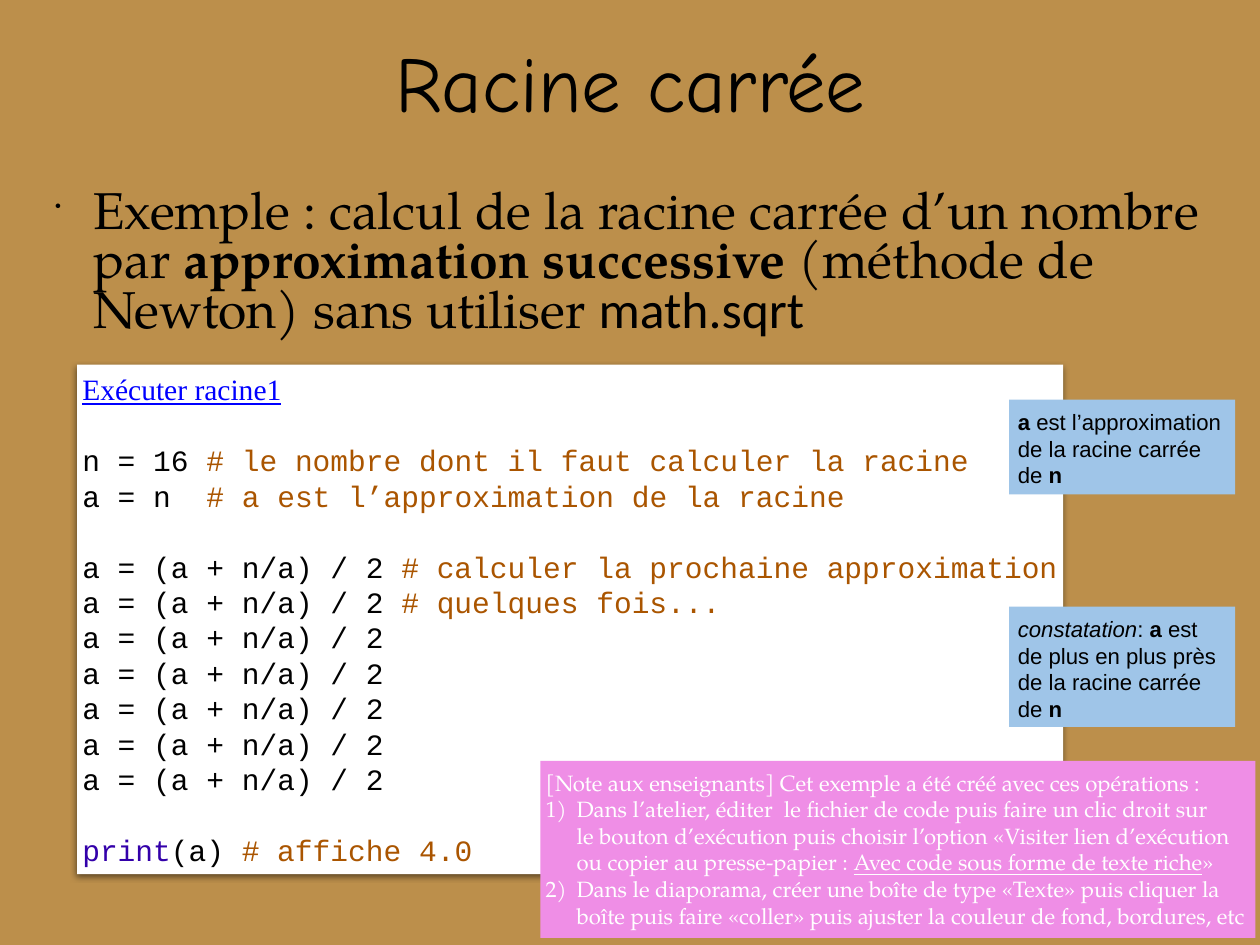
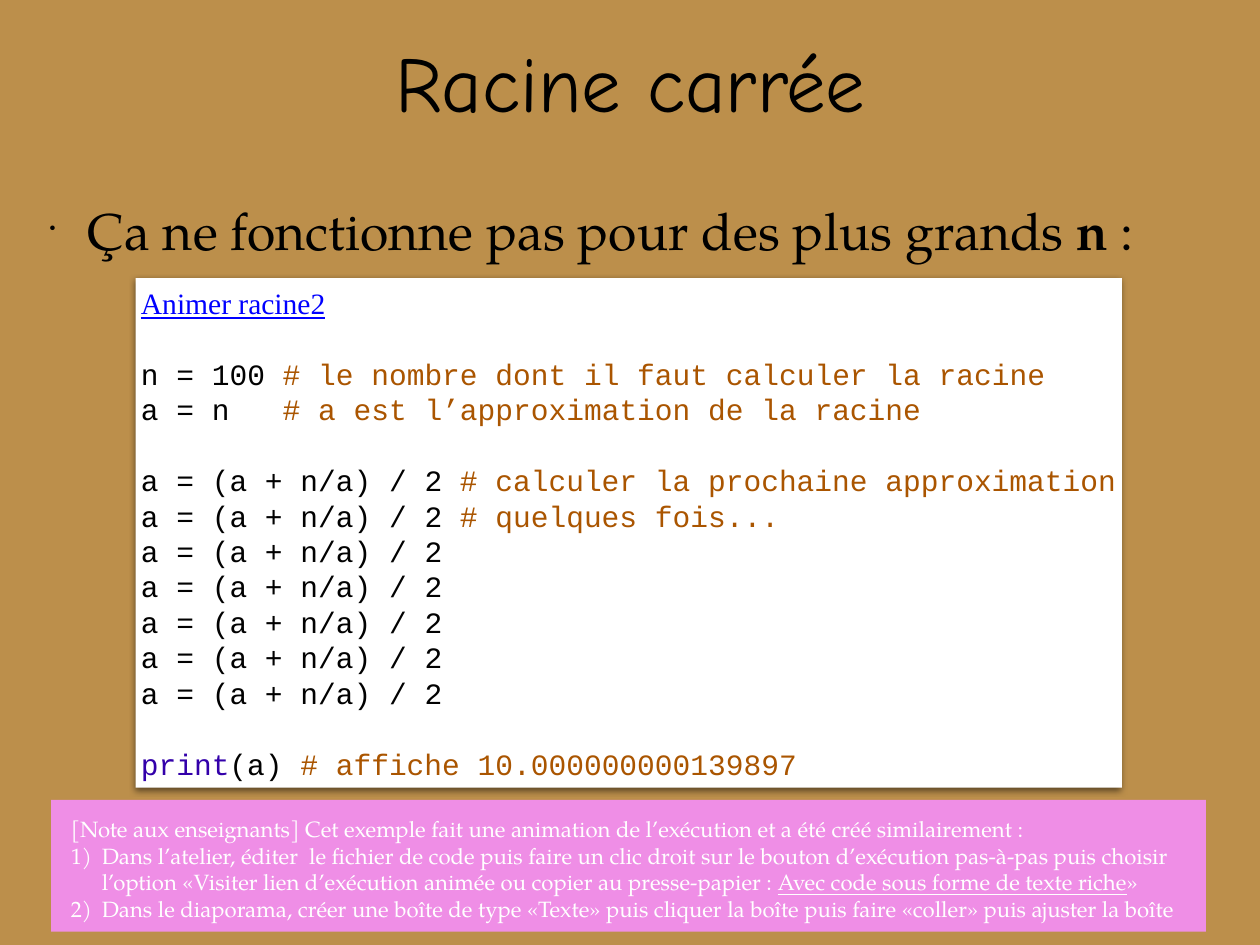
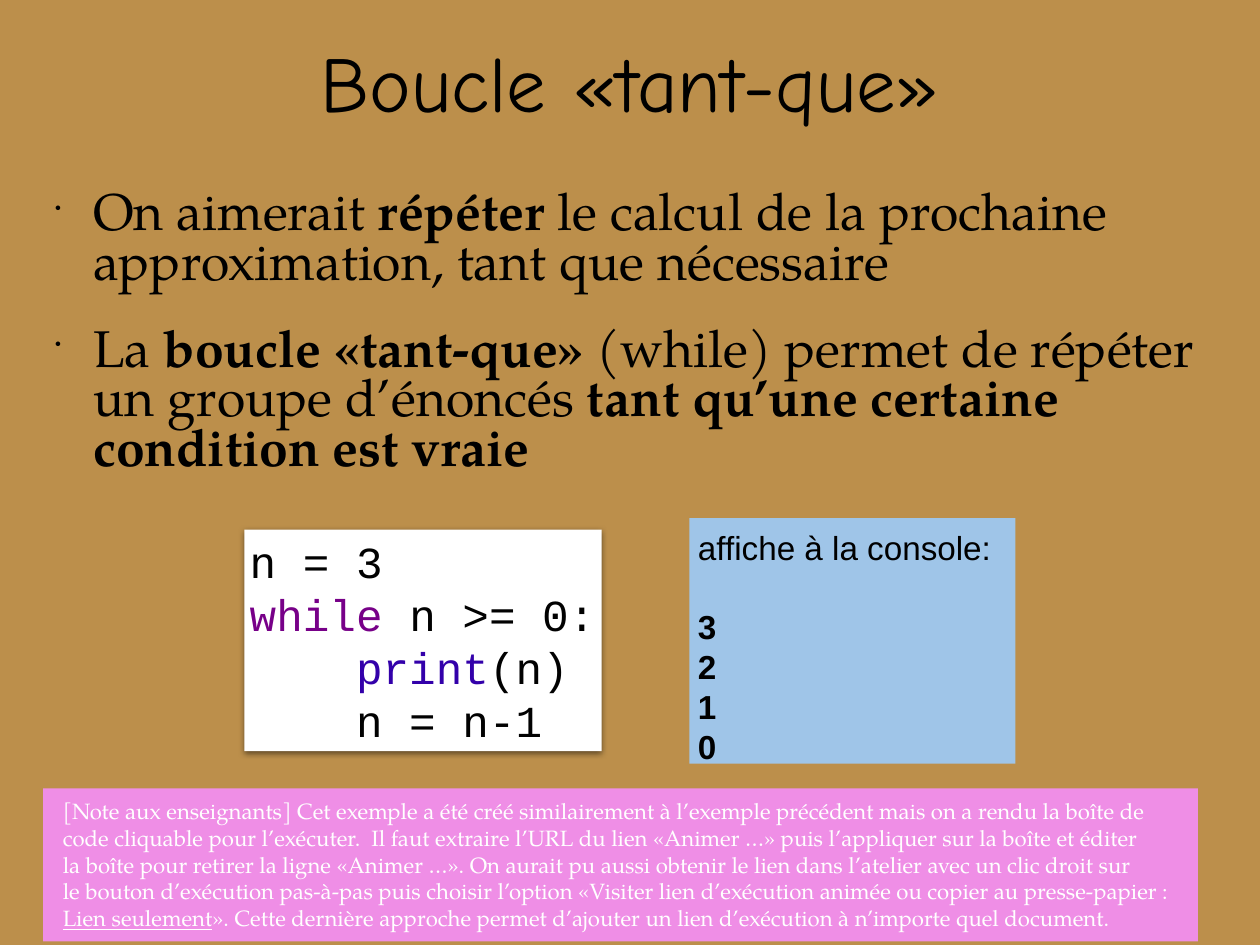
from lxml import etree
from pptx import Presentation
from pptx.dml.color import RGBColor
from pptx.enum import shapes, text
from pptx.oxml import ns, parse_xml
from pptx.util import Cm, Pt

COLORS = {
    "ground": "BC8F4B", "black": "000000", "white": "FFFFFF", "code": "010101",
    "comment": "AA5500", "builtin": "3300AA", "keyword": "770088",
    "link": "0000FF", "callout": "9FC5E8", "note": "EF8EE6",
}
TITLE_FONT, BODY_FONT, CODE_FONT = "Comic Neue", "TeX Gyre Pagella", "Courier New"
LEADING = 1.2
SHADOW = (
    f'<a:effectLst {ns.nsdecls("a")}><a:outerShdw blurRad="63500" dist="25400" '
    'dir="5400000" rotWithShape="0"><a:srgbClr val="000000"><a:alpha val="50000"/>'
    '</a:srgbClr></a:outerShdw></a:effectLst>'
)
BOLD, ITALIC, UNDER = {"bold": True}, {"italic": True}, {"underline": True}
COMMENT, BUILTIN, KEYWORD = ({"color": c} for c in ("comment", "builtin", "keyword"))


def add_box(s, at, paras, size, font, color="black", fill=None, anchor="MIDDLE",
            inset=0.15, wrap=True, shadow=False, mark=None, spacing=None):
    sp = s.shapes.add_shape(shapes.MSO_SHAPE.RECTANGLE, *map(Cm, at))
    sp.line.fill.background()
    if fill:
        sp.fill.solid()
        sp.fill.fore_color.rgb = RGBColor.from_string(COLORS[fill])
    else:
        sp.fill.background()
    if shadow:
        sp._element.spPr.append(parse_xml(SHADOW))
    else:
        sp.shadow.inherit = False
    tf = sp.text_frame
    tf.word_wrap = wrap
    tf.vertical_anchor = getattr(text.MSO_ANCHOR, anchor)
    tf.margin_left = tf.margin_right = tf.margin_top = tf.margin_bottom = Cm(inset)
    p, gap = None, 0
    for runs in paras:
        if runs is None:
            gap = LEADING * size
            continue
        first = p is None
        p = tf.paragraphs[0] if first else tf.add_paragraph()
        p.alignment = text.PP_ALIGN.LEFT
        p.line_spacing = spacing or Pt(LEADING * size)
        p.space_before = Pt(30 if mark == "dot" else gap)
        gap = 0
        for run in runs:
            words, style = (run, {}) if isinstance(run, str) else run
            for i, line in enumerate(words.split("\n")):
                if i:
                    p.add_line_break()
                r = p.add_run()
                r.text = line.replace(" ", "\u00a0") if font == CODE_FONT else line
                r.font.size = Pt(size)
                r.font.name = style.get("font", font)
                r.font.color.rgb = RGBColor.from_string(COLORS[style.get("color", color)])
                r.font.bold = style.get("bold", False)
                r.font.italic = style.get("italic", False)
                r.font.underline = style.get("underline", False)
        pPr = p._p.get_or_add_pPr()
        if mark == "dot":
            pPr.set("marL", str(Cm(2.44)))
            pPr.set("indent", str(-Cm(1.09)))
            etree.SubElement(pPr, ns.qn("a:buSzPct"), val="34000")
            etree.SubElement(pPr, ns.qn("a:buChar"), char="•")
        elif mark == "number" and not first:
            pPr.set("marL", str(Cm(0.89)))
            pPr.set("indent", str(-Cm(0.89)))
            etree.SubElement(pPr, ns.qn("a:buAutoNum"), type="arabicParenR")


def newton_code(link, n, result):
    step = "a = (a + n/a) / 2"
    pad = " " * len(n)
    return [
        [(link, {"font": "Times New Roman", "color": "link", "underline": True})],
        None,
        [f"n = {n} ", ("# le nombre dont il faut calculer la racine", COMMENT)],
        [f"a = n{pad}", ("# a est l’approximation de la racine", COMMENT)],
        None,
        [step + " ", ("# calculer la prochaine approximation", COMMENT)],
        [step + " ", ("# quelques fois...", COMMENT)],
        *[[step]] * 5,
        None,
        [("print", BUILTIN), "(a) ", (f"# affiche {result}", COMMENT)],
    ]


BODY = dict(size=42, font=BODY_FONT, mark="dot")
CODE = dict(font=CODE_FONT, color="code", fill="white", wrap=False, shadow=True)
CALLOUT = dict(font="Arial", fill="callout", anchor="TOP", inset=0.25)
NOTE = dict(size=18, font=BODY_FONT, color="white")
RICH_TEXT = [("Avec code sous forme de texte riche", UNDER), "»"]

prs = Presentation()
prs.slide_width, prs.slide_height = Cm(36.12), Cm(27.1)
ground = prs.slide_master.background.fill
ground.solid()
ground.fore_color.rgb = RGBColor.from_string(COLORS["ground"])

slides = []
for title in ("Racine carrée", "Racine carrée", "Boucle «tant-que»"):
    s = prs.slides.add_slide(prs.slide_layouts[5])
    sp = s.shapes.title
    sp.left, sp.top, sp.width, sp.height = map(Cm, (1.24, 0.43, 33.66, 3.78))
    tf = sp.text_frame
    tf.text = title
    tf.vertical_anchor = text.MSO_ANCHOR.MIDDLE
    tf.margin_left = tf.margin_right = tf.margin_top = tf.margin_bottom = Cm(0.15)
    p = tf.paragraphs[0]
    p.alignment = text.PP_ALIGN.CENTER
    r = p.runs[0]
    r.font.size, r.font.name = Pt(64), TITLE_FONT
    r.font.color.rgb = RGBColor.from_string(COLORS["black"])
    slides.append(s)
first_try, larger_n, while_loop = slides

add_box(first_try, (0.08, 4.72, 34.9, 5.69), [[
    "Exemple : calcul de la racine carrée d’un nombre par ",
    ("approximation successive", BOLD),
    " (méthode de Newton) sans utiliser ",
    ("math.sqrt", {"font": "Calibri"}),
]], spacing=0.8, **BODY)
add_box(first_try, (2.21, 10.46, 28.27, 14.61),
        newton_code("Exécuter racine1", "16", "4.0"), size=24, **CODE)
add_box(first_try, (28.93, 11.46, 6.48, 2.72), [[
    ("a", BOLD), " est l’approximation de la racine carrée de ", ("n", BOLD),
]], size=18, **CALLOUT)
add_box(first_try, (28.93, 17.4, 6.48, 3.45), [[
    ("constatation", ITALIC), ": ", ("a", BOLD),
    " est de plus en plus près de la racine carrée de ", ("n", BOLD),
]], size=18, **CALLOUT)
add_box(first_try, (15.49, 21.82, 20.5, 5.08), [], fill="note", **NOTE)
add_box(first_try, (15.49, 21.89, 20.6, 4.9), [
    ["[Note aux enseignants] Cet exemple a été créé avec ces opérations :"],
    ["Dans l’atelier, éditer  le fichier de code puis faire un clic droit sur\n"
     "le bouton d’exécution puis choisir l’option «Visiter lien d’exécution\n"
     "ou copier au presse-papier : ", *RICH_TEXT],
    ["Dans le diaporama, créer une boîte de type «Texte» puis cliquer la\n"
     "boîte puis faire «coller» puis ajuster la couleur de fond, bordures, etc"],
], mark="number", **NOTE)

add_box(larger_n, (-0.08, 4.19, 34.9, 4.83), [[
    "Ça ne fonctionne pas pour des plus grands ", ("n", BOLD), " :",
]], spacing=1.0, **BODY)
add_box(larger_n, (3.89, 7.98, 28.27, 14.61),
        newton_code("Animer racine2", "100", "10.000000000139897"), size=24, **CODE)
add_box(larger_n, (1.47, 22.94, 33.1, 3.78), [], fill="note", **NOTE)
add_box(larger_n, (1.88, 23.24, 33.66, 3.35), [
    ["[Note aux enseignants] Cet exemple fait une animation de l’exécution "
     "et a été créé similairement :"],
    ["Dans l’atelier, éditer  le fichier de code puis faire un clic droit sur le bouton "
     "d’exécution pas-à-pas puis choisir l’option «Visiter lien d’exécution animée "
     "ou copier au presse-papier : ", *RICH_TEXT],
    ["Dans le diaporama, créer une boîte de type «Texte» puis cliquer la boîte "
     "puis faire «coller» puis ajuster la boîte"],
], mark="number", **NOTE)

add_box(while_loop, (0.08, 4.72, 34.9, 9.7), [
    ["On aimerait ", ("répéter", BOLD),
     " le calcul de la prochaine approximation, tant que nécessaire"],
    ["La ", ("boucle «tant-que»", BOLD),
     " (while) permet de répéter un groupe d’énoncés ",
     ("tant qu’une certaine condition est vraie", BOLD)],
], spacing=0.8, **BODY)
add_box(while_loop, (7.01, 15.19, 10.24, 6.35), [
    ["n = 3"],
    [("while", KEYWORD), " n >= 0:"],
    ["    ", ("print", BUILTIN), "(n)"],
    ["    n = n-1"],
], size=36, **CODE)
add_box(while_loop, (19.76, 14.86, 9.35, 7.04), [
    ["affiche à la console:"], None, *[[(digit, BOLD)] for digit in "3210"],
], size=27, **CALLOUT)
add_box(while_loop, (1.24, 22.61, 33.1, 4.39), [], fill="note", **NOTE)
add_box(while_loop, (1.65, 22.5, 33.66, 4.57), [
    ["[Note aux enseignants] Cet exemple a été créé similairement à l’exemple précédent "
     "mais on a rendu la boîte de\n"
     "code cliquable pour l’exécuter.  Il faut extraire l’URL du lien «Animer …» "
     "puis l’appliquer sur la boîte et éditer\n"
     "la boîte pour retirer la ligne «Animer …». On aurait pu aussi obtenir le lien "
     "dans l’atelier avec un clic droit sur\n"
     "le bouton d’exécution pas-à-pas puis choisir l’option «Visiter lien d’exécution "
     "animée ou copier au presse-papier :"],
    [("Lien seulement", UNDER),
     "». Cette dernière approche permet d’ajouter un lien d’exécution "
     "à n’importe quel document."],
], **NOTE)

prs.save("out.pptx")
